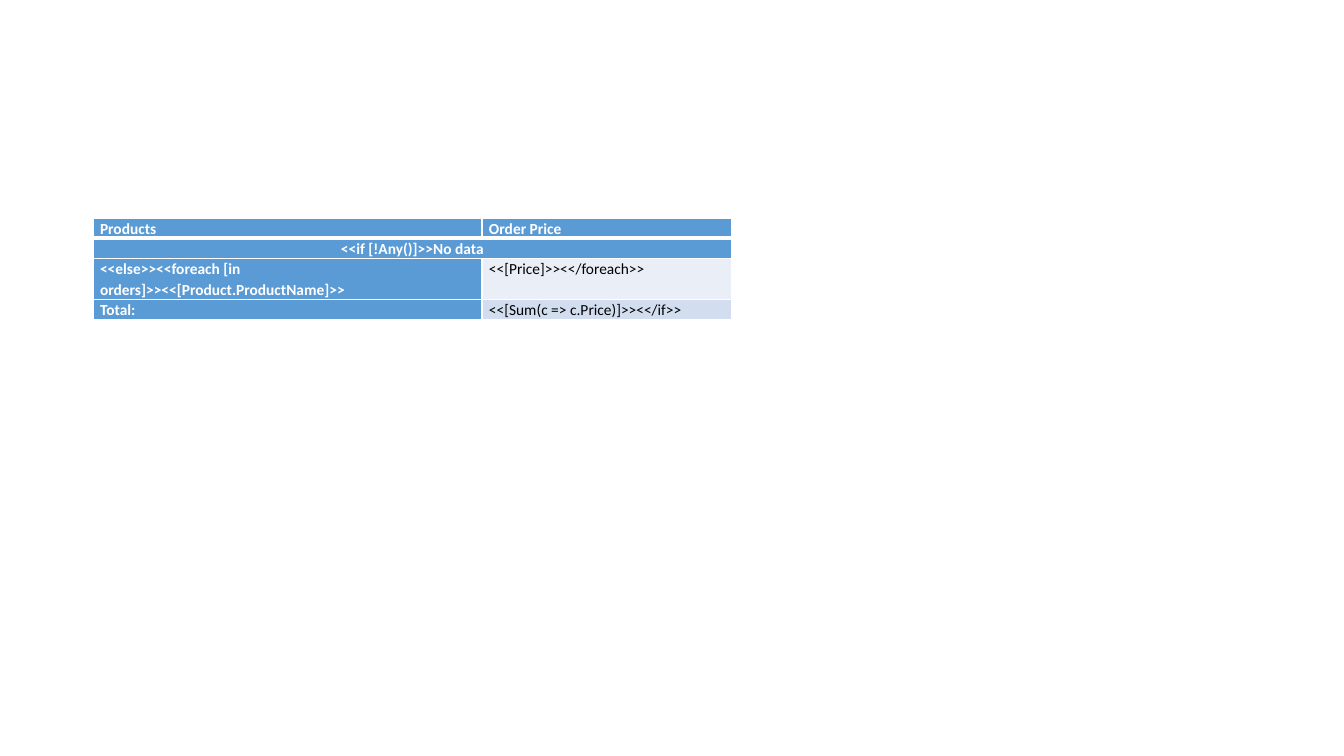
from lxml import etree
from pptx import Presentation
from pptx import util as u
from pptx.dml.color import RGBColor
from pptx.enum import text
from pptx.oxml import ns

PX = 914400 / 100.8
WHITE = RGBColor(0xFF, 0xFF, 0xFF)
BLACK = RGBColor(0x00, 0x00, 0x00)
BLUE = RGBColor(0x5B, 0x9B, 0xD5)
PALE_BLUE = RGBColor(0xEA, 0xEF, 0xF7)
LIGHT_BLUE = RGBColor(0xD2, 0xDE, 0xEF)

ROWS = [
    ("Products", "Order Price", BLUE),
    ("<<if [!Any()]>>No data", "", BLUE),
    ("<<else>><<foreach [in orders]>><<[Product.ProductName]>>",
     "<<[Price]>><</foreach>>", PALE_BLUE),
    ("Total:", "<<[Sum(c => c.Price)]>><</if>>", LIGHT_BLUE),
]
COLUMN_WIDTHS = (389, 250)
HEADER_ROW, MESSAGE_ROW = 0, 1
CELL_FORMAT = {
    "margin_left": u.Inches(0.07),
    "margin_right": u.Inches(0.07),
    "margin_top": 0,
    "margin_bottom": 0,
    "vertical_anchor": text.MSO_ANCHOR.TOP,
}


def px(length):
    return u.Emu(round(length * PX))


def apply(target, values):
    for name, value in values.items():
        setattr(target, name, value)


def add_border(cell, side, points):
    line = etree.SubElement(cell._tc.get_or_add_tcPr(), ns.qn(f"a:ln{side}"),
                            w=str(u.Pt(points)))
    fill = etree.SubElement(line, ns.qn("a:solidFill"))
    etree.SubElement(fill, ns.qn("a:srgbClr"), val=str(WHITE))


def format_cell(cell, wording, fill, row):
    apply(cell, CELL_FORMAT)
    thick_side = {HEADER_ROW: "B", MESSAGE_ROW: "T"}.get(row)
    for side in "LRTB":
        add_border(cell, side, 3 if side == thick_side else 1)
    cell.fill.solid()
    cell.fill.fore_color.rgb = fill
    paragraph = cell.text_frame.paragraphs[0]
    paragraph.line_spacing = 1.07
    paragraph.alignment = (text.PP_ALIGN.CENTER if row == MESSAGE_ROW
                           else text.PP_ALIGN.LEFT)
    on_blue = fill == BLUE
    apply(paragraph.font, {"name": "Calibri", "size": u.Pt(11), "bold": on_blue})
    paragraph.font.color.rgb = WHITE if on_blue else BLACK
    if wording:
        run = paragraph.add_run()
        run.text = wording
        apply(run.font, {"name": "Calibri", "size": u.Pt(11), "bold": on_blue})
        run.font.color.rgb = WHITE if on_blue else BLACK


def add_order_table(slide, left, top, row_height):
    table = slide.shapes.add_table(
        len(ROWS), len(COLUMN_WIDTHS), px(left), px(top),
        px(sum(COLUMN_WIDTHS)), px(row_height * len(ROWS))).table
    for column, width in zip(table.columns, COLUMN_WIDTHS):
        column.width = px(width)
    for row, (label, value, value_fill) in enumerate(ROWS):
        table.rows[row].height = px(row_height)
        format_cell(table.cell(row, 0), label, BLUE, row)
        format_cell(table.cell(row, 1), value, value_fill, row)
    table.cell(MESSAGE_ROW, 0).merge(table.cell(MESSAGE_ROW, 1))


def main():
    presentation = Presentation()
    apply(presentation, {"slide_width": px(1344), "slide_height": px(756)})
    slide = presentation.slides.add_slide(presentation.slide_layouts[6])
    add_order_table(slide, left=93, top=218, row_height=20)
    presentation.save("out.pptx")


if __name__ == "__main__":
    main()
